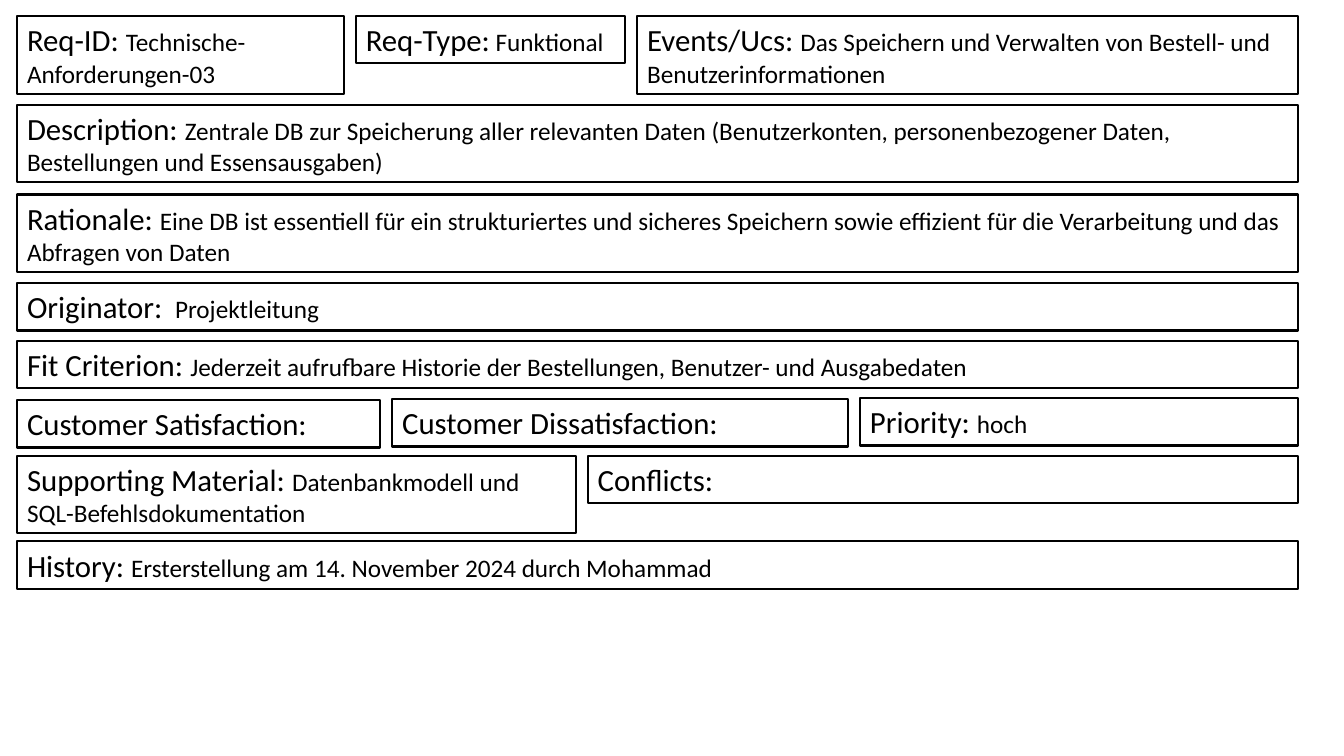
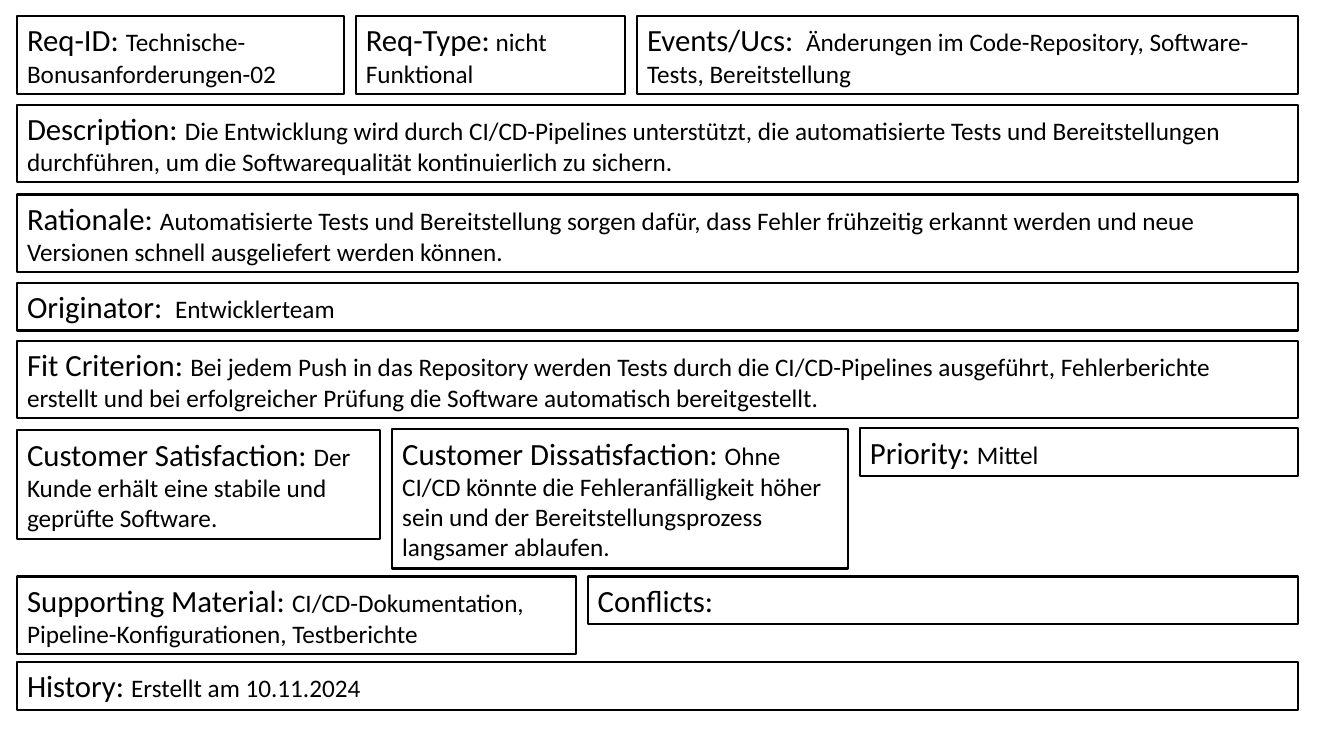
from pptx import Presentation
from pptx import util as u
from pptx.dml import color
from pptx.enum import text as t

FONT, INK = "Calibri", "000000"
LEFT, RIGHT, TOP, GAP = 0.17, 12.87, 0.16, 0.12
HEIGHTS = {1: 0.47, 2: 0.77, 3: 1.08, 4: 1.38}  # by number of text lines

# Each row: gap above, then cells of (label, width, drop); None fills the row
ROWS = [
    (0, [("Req-ID: ", 3.24, 0), ("Req-Type:", 2.67, 0), ("Events/Ucs: ", None, 0)]),
    (0.11, [("Description: ", None, 0)]),
    (0.12, [("Rationale: ", None, 0)]),
    (0.11, [("Originator: ", None, 0)]),
    (0.1, [("Fit Criterion: ", None, 0)]),
    (0.1, [("Customer Satisfaction: ", 3.6, 0.02),
           ("Customer Dissatisfaction: ", 4.52, 0.01), ("Priority: ", None, 0)]),
    (0.08, [("Supporting Material: ", 5.54, 0), ("Conflicts: ", None, 0)]),
    (0.08, [("History: ", None, 0)]),
]

# Each card: (value, lines) for every cell, in reading order
CARDS = [
    [
        ("Technische-Anforderungen-03", 2),
        (" Funktional", 1),
        ("Das Speichern und Verwalten von Bestell- und Benutzerinformationen", 2),
        ("Zentrale DB zur Speicherung aller relevanten Daten (Benutzerkonten, "
         "personenbezogener Daten, Bestellungen und Essensausgaben)", 2),
        ("Eine DB ist essentiell für ein strukturiertes und sicheres Speichern sowie "
         "effizient für die Verarbeitung und das Abfragen von Daten", 2),
        (" Projektleitung", 1),
        ("Jederzeit aufrufbare Historie der Bestellungen, Benutzer- und Ausgabedaten", 1),
        ("", 1),
        ("", 1),
        ("hoch", 1),
        ("Datenbankmodell und SQL-Befehlsdokumentation", 2),
        ("", 1),
        ("Ersterstellung am 14. November 2024 durch Mohammad", 1),
    ],
    [
        ("Technische-Bonusanforderungen-02", 2),
        (" nicht Funktional", 2),
        (" Änderungen im Code-Repository, Software-Tests, Bereitstellung", 2),
        ("Die Entwicklung wird durch CI/CD-Pipelines unterstützt, die automatisierte "
         "Tests und Bereitstellungen durchführen, um die Softwarequalität "
         "kontinuierlich zu sichern.", 2),
        ("Automatisierte Tests und Bereitstellung sorgen dafür, dass Fehler frühzeitig "
         "erkannt werden und neue Versionen schnell ausgeliefert werden können.", 2),
        (" Entwicklerteam", 1),
        ("Bei jedem Push in das Repository werden Tests durch die CI/CD-Pipelines "
         "ausgeführt, Fehlerberichte erstellt und bei erfolgreicher Prüfung die "
         "Software automatisch bereitgestellt.", 2),
        ("Der Kunde erhält eine stabile und geprüfte Software.", 3),
        ("Ohne CI/CD könnte die Fehleranfälligkeit höher sein und der "
         "Bereitstellungsprozess langsamer ablaufen.", 4),
        ("Mittel", 1),
        ("CI/CD-Dokumentation, Pipeline-Konfigurationen, Testberichte", 2),
        ("", 1),
        ("Erstellt am 10.11.2024", 1),
    ],
]


def rgb(code):
    return color.RGBColor.from_string(code)


def write(para, words, size=18, ink=INK):
    """Add one formatted run to a paragraph."""
    run = para.add_run()
    run.text = words
    run.font.name = FONT
    run.font.size = u.Pt(size)
    run.font.color.rgb = rgb(ink)


def field(slide, box, label, value):
    """Draw one outlined field with a large label and a smaller value."""
    shape = slide.shapes.add_textbox(*map(u.Inches, box))
    shape.line.color.rgb = rgb(INK)
    shape.line.width = u.Pt(1.5)
    frame = shape.text_frame
    frame.word_wrap = True
    frame.auto_size = t.MSO_AUTO_SIZE.SHAPE_TO_FIT_TEXT
    para = frame.paragraphs[0]
    write(para, label if value else label.rstrip(), size=22)
    if value:
        write(para, value)


def band(slide, top, cells, values):
    """Draw a row of fields and return its lower edge."""
    left, low = LEFT, top
    for label, width, drop in cells:
        value, lines = next(values)
        width = width or RIGHT - left
        high = HEIGHTS[lines]
        field(slide, (left, top + drop, width, high), label, value)
        left += width + GAP
        low = max(low, top + drop + high)
    return low


def card(deck, fields):
    """Build one requirement card, stacking its rows downwards."""
    slide = deck.slides.add_slide(deck.slide_layouts[6])
    values, low = iter(fields), TOP
    for gap, cells in ROWS:
        low = band(slide, low + gap, cells, values)


def main():
    deck = Presentation()
    deck.slide_width, deck.slide_height = u.Inches(13.33), u.Inches(7.5)
    for fields in CARDS:
        card(deck, fields)
    deck.save("out.pptx")


if __name__ == "__main__":
    main()
